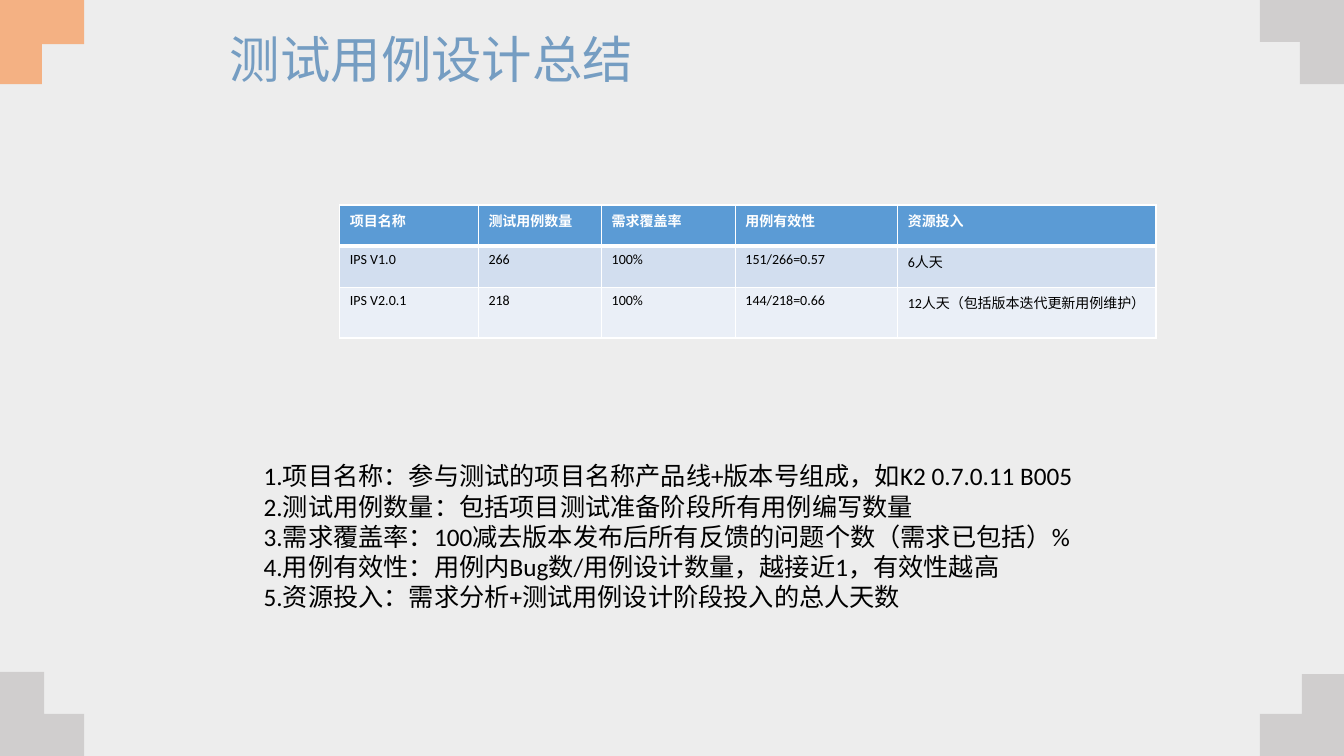
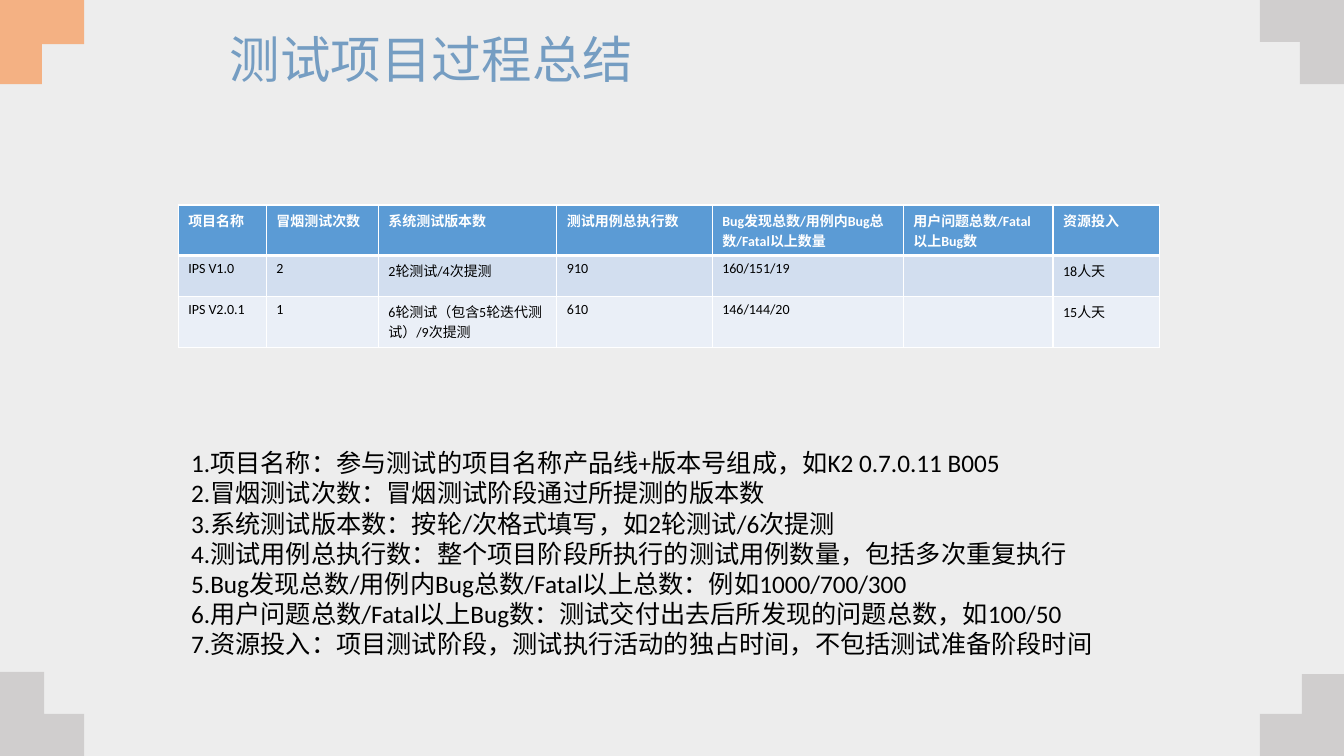
from lxml import etree
from pptx import Presentation
from pptx.dml.color import RGBColor
from pptx.enum import text
from pptx.oxml.ns import qn
from pptx.util import Pt

SLIDE_WIDTH, SLIDE_HEIGHT = 960, 540
LATIN, CJK = "Calibri", "Noto Sans CJK SC"
BACKGROUND, GREY, ORANGE = "EDEDED", "D0CECE", "F4B183"
HEADER_FILL, ROW_FILLS = "5B9BD5", ("D2DEEF", "EAEFF7")

TITLE_STYLE = {"name": CJK, "size": Pt(36), "color": "759DC2"}
HEADER_STYLE = {"name": LATIN, "size": Pt(10), "bold": True, "color": "FFFFFF"}
CELL_STYLE = {"name": LATIN, "size": Pt(10), "bold": False, "color": "000000"}
NOTE_STYLE = {"name": LATIN, "size": Pt(18), "color": "000000"}

TITLE_BOX = (157, 20, 646.5, 48.5)
TABLE_TOP, ROW_HEIGHT = 146.4, 29.5

# right side, bottom side, arm height, horizontal arm thickness, vertical arm thickness, colour
ARM_WIDTH = 60
CORNERS = [
    (False, True, 60, 30, 31.5, GREY),
    (False, False, 60, 31.5, 30, ORANGE),
    (True, False, 60, 30, 31.5, GREY),
    (True, True, 58.5, 30, 30, GREY),
]

SLIDES = [
    {
        "title": "测试用例设计总结",
        "table_left": 242.8,
        "columns": [99, 88, 95.5, 116, 184.5],
        "rows": [
            ["项目名称", "测试用例数量", "需求覆盖率", "用例有效性", "资源投入"],
            ["IPS V1.0", "266", "100%", "151/266=0.57", "6人天"],
            ["IPS V2.0.1", "218", "100%", "144/218=0.66", "12人天（包括版本迭代更新用例维护）"],
        ],
        "notes_box": (181.3, 325.5, 597.5, 160),
        "notes": [
            "1.项目名称：参与测试的项目名称产品线+版本号组成，如K2 0.7.0.11 B005",
            "2.测试用例数量：包括项目测试准备阶段所有用例编写数量",
            "3.需求覆盖率：100减去版本发布后所有反馈的问题个数（需求已包括）%",
            "4.用例有效性：用例内Bug数/用例设计数量，越接近1，有效性越高",
            "5.资源投入：需求分析+测试用例设计阶段投入的总人天数",
        ],
    },
    {
        "title": "测试项目过程总结",
        "table_left": 127.3,
        "columns": [63, 80, 127.5, 111, 136.5, 107, 76],
        "rows": [
            ["项目名称", "冒烟测试次数", "系统测试版本数", "测试用例总执行数",
             "Bug发现总数/用例内Bug总数/Fatal以上数量", "用户问题总数/Fatal以上Bug数", "资源投入"],
            ["IPS V1.0", "2", "2轮测试/4次提测", "910", "160/151/19", "", "18人天"],
            ["IPS V2.0.1", "1", "6轮测试（包含5轮迭代测试）/9次提测", "610", "146/144/20", "", "15人天"],
        ],
        "notes_box": (129.5, 316, 664.5, 160),
        "notes": [
            "1.项目名称：参与测试的项目名称产品线+版本号组成，如K2 0.7.0.11 B005",
            "2.冒烟测试次数：冒烟测试阶段通过所提测的版本数",
            "3.系统测试版本数：按轮/次格式填写，如2轮测试/6次提测",
            "4.测试用例总执行数：整个项目阶段所执行的测试用例数量，包括多次重复执行",
            "5.Bug发现总数/用例内Bug总数/Fatal以上总数：例如1000/700/300",
            "6.用户问题总数/Fatal以上Bug数：测试交付出去后所发现的问题总数，如100/50",
            "7.资源投入：项目测试阶段，测试执行活动的独占时间，不包括测试准备阶段时间",
        ],
    },
]


def paint(fill, color):
    fill.solid()
    fill.fore_color.rgb = RGBColor.from_string(color)


def write(paragraph, content, style):
    run = paragraph.add_run()
    run.text = content
    for key, value in style.items():
        if key == "color":
            paint(run.font.fill, value)
        else:
            setattr(run.font, key, value)
    east_asian = etree.SubElement(run._r.get_or_add_rPr(), qn("a:ea"))
    east_asian.set("typeface", CJK)


def add_corners(slide, layout):
    """Draw the four corner brackets and move them to the shared layout."""
    for right, bottom, height, horizontal, vertical, color in CORNERS:
        outline = [(0, 0), (ARM_WIDTH, 0), (ARM_WIDTH, horizontal),
                   (vertical, horizontal), (vertical, height), (0, height)]
        points = [(Pt(SLIDE_WIDTH - x if right else x), Pt(SLIDE_HEIGHT - y if bottom else y))
                  for x, y in outline]
        builder = slide.shapes.build_freeform(*points[0])
        builder.add_line_segments(points[1:], close=True)
        shape = builder.convert_to_shape()
        shape.shadow.inherit = False
        paint(shape.fill, color)
        shape.line.fill.background()
        layout.shapes.element.append(shape.element)


def add_title(slide, content):
    title = slide.shapes.title
    title.left, title.top, title.width, title.height = map(Pt, TITLE_BOX)
    frame = title.text_frame
    frame.auto_size = text.MSO_AUTO_SIZE.NONE
    frame.vertical_anchor = text.MSO_ANCHOR.MIDDLE
    paragraph = frame.paragraphs[0]
    paragraph.alignment = text.PP_ALIGN.LEFT
    paragraph.line_spacing = 0.9
    write(paragraph, content, TITLE_STYLE)


def set_borders(cell, top, bottom):
    for side, width in (("L", 1), ("R", 1), ("T", top), ("B", bottom)):
        line = etree.SubElement(cell._tc.get_or_add_tcPr(), qn(f"a:ln{side}"), w=str(Pt(width)))
        fill = etree.SubElement(line, qn("a:solidFill"))
        etree.SubElement(fill, qn("a:srgbClr"), val="FFFFFF")


def add_table(slide, left, columns, rows):
    table = slide.shapes.add_table(len(rows), len(columns), Pt(left), Pt(TABLE_TOP),
                                   Pt(sum(columns)), Pt(ROW_HEIGHT * len(rows))).table
    table.first_row = table.horz_banding = False
    for column, width in zip(table.columns, columns):
        column.width = Pt(width)
    for row_index, values in enumerate(rows):
        header = row_index == 0
        for column_index, value in enumerate(values):
            cell = table.cell(row_index, column_index)
            set_borders(cell, 3 if row_index == 1 else 1, 3 if header else 1)
            paint(cell.fill, HEADER_FILL if header else ROW_FILLS[(row_index - 1) % 2])
            write(cell.text_frame.paragraphs[0], value, HEADER_STYLE if header else CELL_STYLE)


def add_notes(slide, box, lines):
    frame = slide.shapes.add_textbox(*map(Pt, box)).text_frame
    frame.word_wrap = True
    for index, line in enumerate(lines):
        paragraph = frame.add_paragraph() if index else frame.paragraphs[0]
        write(paragraph, line, NOTE_STYLE)


def main():
    presentation = Presentation()
    presentation.slide_width, presentation.slide_height = Pt(SLIDE_WIDTH), Pt(SLIDE_HEIGHT)
    layout = presentation.slide_layouts[5]
    paint(layout.background.fill, BACKGROUND)
    for index, content in enumerate(SLIDES):
        slide = presentation.slides.add_slide(layout)
        if index == 0:
            add_corners(slide, layout)
        add_title(slide, content["title"])
        add_table(slide, content["table_left"], content["columns"], content["rows"])
        add_notes(slide, content["notes_box"], content["notes"])
    presentation.save("out.pptx")


if __name__ == "__main__":
    main()
